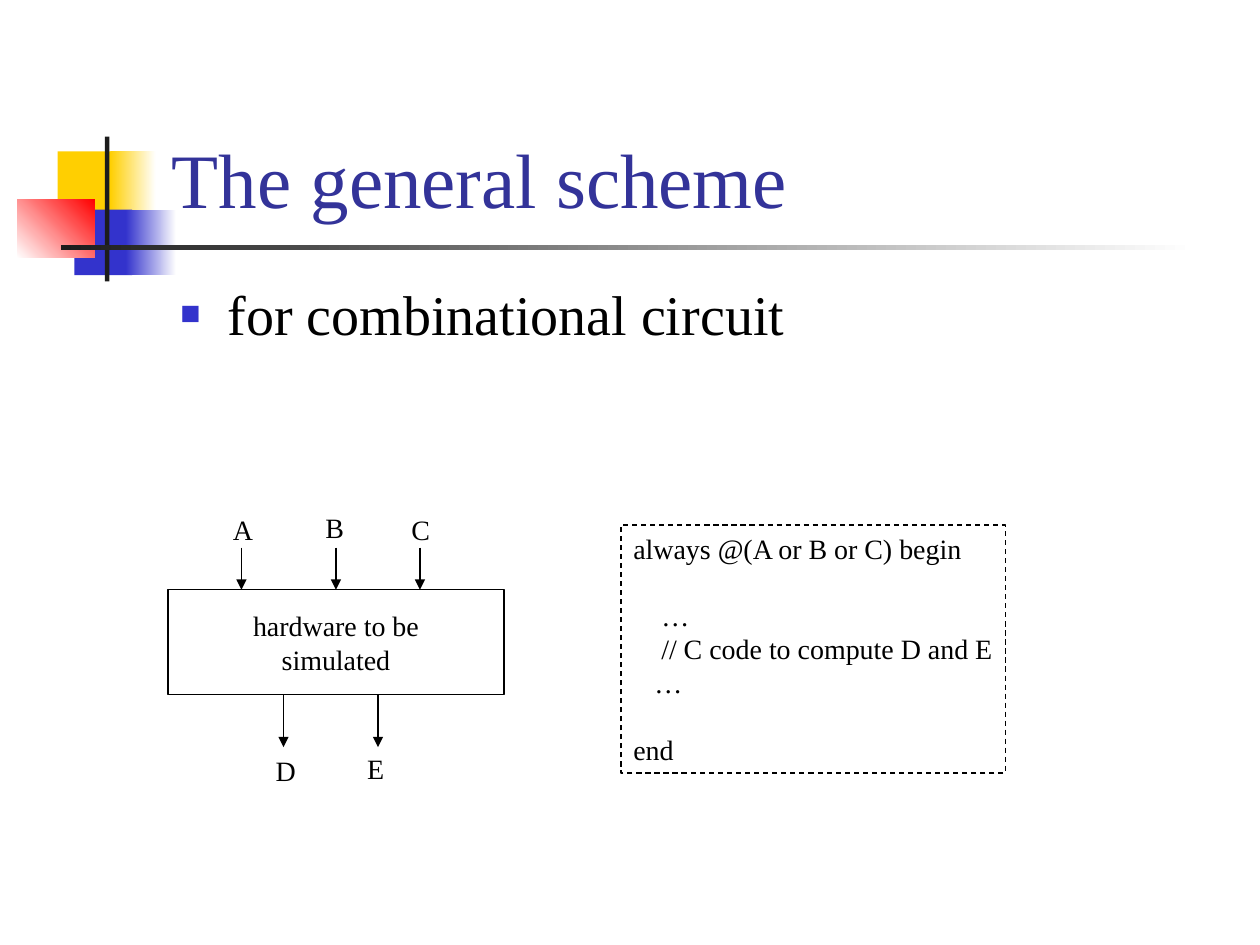
import pptx
import pptx.dml.color
import pptx.enum.dml
import pptx.enum.shapes
import pptx.enum.text
import pptx.util
from lxml import etree
from pptx.oxml.ns import qn

Pt = pptx.util.Pt
Align = pptx.enum.text.PP_ALIGN
Anchor = pptx.enum.text.MSO_ANCHOR


def colour(value):
    return pptx.dml.color.RGBColor.from_string(value)


class SchemeSlide:
    """Hold the text style and the current slide, and draw its elements."""

    font = "Times New Roman"
    ink = "000000"
    size = 16

    def __init__(self, deck):
        self.page = deck.slides.add_slide(deck.slide_layouts[6])

    def block(self, left, top, width, height, start=None, end=None, angle=0):
        shape = self.page.shapes.add_shape(
            pptx.enum.shapes.MSO_SHAPE.RECTANGLE,
            Pt(left), Pt(top), Pt(width), Pt(height))
        shape.shadow.inherit = False
        shape.line.fill.background()
        if start is None:
            shape.fill.background()
        elif end is None:
            shape.fill.solid()
            shape.fill.fore_color.rgb = colour(start)
        else:
            shape.fill.gradient()
            shape.fill.gradient_angle = angle
            for stop, value in zip(shape.fill.gradient_stops, (start, end)):
                stop.color.rgb = colour(value)
        return shape

    def set_text(self, box, text, size=None, ink=None, align=Align.LEFT,
                 anchor=Anchor.TOP, wrap=False):
        frame = box.text_frame
        frame.text = text
        frame.word_wrap = wrap
        frame.vertical_anchor = anchor
        for para in frame.paragraphs:
            para.alignment = align
            for span in para.runs:
                span.font.name = self.font
                span.font.size = Pt(size or self.size)
                span.font.color.rgb = colour(ink or self.ink)
        return frame.paragraphs

    def label(self, left, top, width, height, text, **style):
        box = self.page.shapes.add_textbox(Pt(left), Pt(top), Pt(width), Pt(height))
        return self.set_text(box, text, **style)

    def bullet(self, para, ink, indent):
        para.space_before = Pt(8)
        props = para._p.get_or_add_pPr()
        props.set("marL", str(Pt(indent)))
        props.set("indent", str(-Pt(indent)))
        holder = etree.SubElement(props, qn("a:buClr"))
        etree.SubElement(holder, qn("a:srgbClr"), val=ink)
        etree.SubElement(props, qn("a:buSzPct"), val="60000")
        etree.SubElement(props, qn("a:buFont"), typeface=self.font)
        etree.SubElement(props, qn("a:buChar"), char="■")

    def frame(self, left, top, width, height, text, dash=None, **style):
        shape = self.block(left, top, width, height)
        shape.line.color.rgb = colour(self.ink)
        shape.line.width = Pt(0.75)
        if dash:
            shape.line.dash_style = dash
        return self.set_text(shape, text, **style)

    def arrow(self, x, top, bottom):
        line = self.page.shapes.add_connector(
            pptx.enum.shapes.MSO_CONNECTOR.STRAIGHT, Pt(x), Pt(top), Pt(x), Pt(bottom))
        line.line.color.rgb = colour(self.ink)
        line.line.width = Pt(0.75)
        etree.SubElement(line.line._get_or_add_ln(), qn("a:tailEnd"), type="triangle")
        etree.SubElement(line._element.spPr, qn("a:effectLst"))


def main():
    deck = pptx.Presentation()
    deck.slide_width, deck.slide_height = Pt(720), Pt(540)
    slide = SchemeSlide(deck)
    yellow, blue, red, dark, white = "FFCF01", "3333CC", "FF0000", "1C1C1C", "FFFFFF"

    slide.block(33, 86.5, 34.5, 37.5, yellow)
    slide.block(63, 86.5, 26, 37.5, yellow, white)
    slide.block(42.5, 119.8, 33, 37.5, blue)
    slide.block(72, 119.8, 28.8, 37.5, blue, white)
    slide.block(9.8, 113.8, 44.3, 33.5, white, red, angle=45)
    slide.block(60, 78, 2.5, 82.8, dark)
    slide.block(34.8, 140.2, 648, 2.5, dark, white)

    slide.label(91, 16.5, 613, 115.2, "The general scheme", size=44,
                ink="333399", anchor=Anchor.BOTTOM, wrap=True)
    body = slide.label(96, 156, 612, 66, "for combinational circuit", size=32, wrap=True)
    slide.bullet(body[0], blue, 27)

    slide.frame(96, 337, 192, 60, "hardware to be\nsimulated",
                align=Align.CENTER, anchor=Anchor.MIDDLE)
    inputs = [("A", 138, 126, 289.5), ("B", 192, 178.8, 288), ("C", 240, 228, 289.5)]
    outputs = [("D", 162, 150.5, 427), ("E", 216, 202.8, 426)]
    for signals, start, end in ((inputs, 313, 337), (outputs, 397, 427)):
        for name, x, left, top in signals:
            slide.arrow(x, start, end)
            slide.label(left, top, 25.5, 26.5, name)

    code = [("always @(A or B or C) begin", 0, 0), ("…", 16, 19.2),
            ("// C code to compute D and E", 16, 0), ("…", 12, 0), ("end", 0, 19.2)]
    paras = slide.frame(354.8, 300, 219.6, 141.8, "\n".join(row[0] for row in code),
                        dash=pptx.enum.dml.MSO_LINE.DASH)
    for para, (_, indent, gap) in zip(paras, code):
        para.space_before = Pt(gap)
        para._p.get_or_add_pPr().set("marL", str(Pt(indent)))

    deck.save("out.pptx")


if __name__ == "__main__":
    main()
